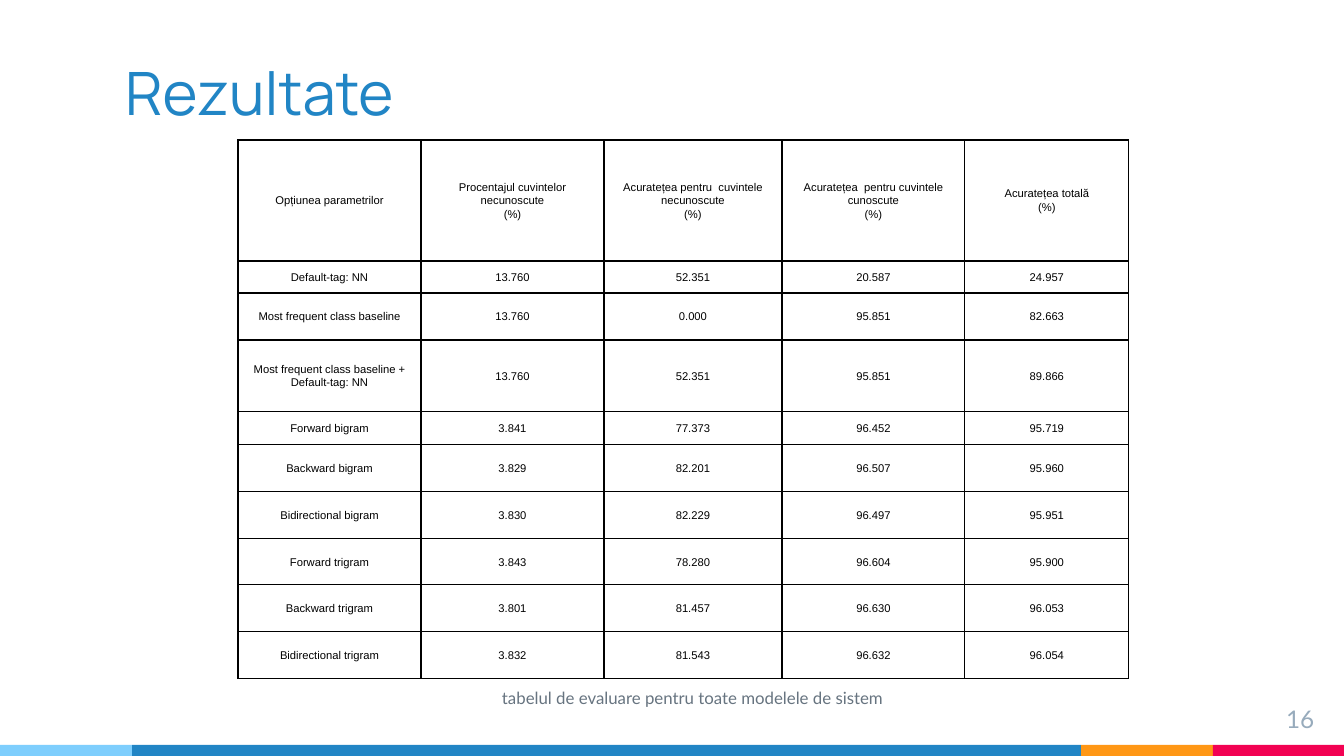
from lxml import etree
from pptx import Presentation, util as u
from pptx.dml.color import RGBColor
from pptx.enum import shapes, text
from pptx.oxml import ns

PX = 914400 / 134.4
BLUE, BLACK = "2185C5", "000000"
LEFT, MID, RIGHT = text.PP_ALIGN.LEFT, text.PP_ALIGN.CENTER, text.PP_ALIGN.RIGHT


def px(n):
    return u.Emu(round(n * PX))


def color(code):
    return RGBColor.from_string(code)


class Deck:
    def __init__(self, wide, high):
        self.prs = Presentation()
        self.prs.slide_width, self.prs.slide_height = px(wide), px(high)
        self.slide = self.prs.slides.add_slide(self.prs.slide_layouts[5])

    def style(self, frame, words, font, size, tint, align=LEFT, space=None):
        frame.text = words
        for par in frame.paragraphs:
            par.alignment = align
            par.line_spacing = space
            for run in par.runs:
                run.font.name, run.font.size = font, u.Pt(size)
                run.font.color.rgb = color(tint)

    def inset(self, item, side, top):
        item.margin_left = item.margin_right = px(side)
        item.margin_top = item.margin_bottom = px(top)

    def title(self, box, words):
        head = self.slide.shapes.title
        head.left, head.top, head.width, head.height = map(px, box)
        frame = head.text_frame
        self.style(frame, words, "Manrope", 32, BLUE)
        self.inset(frame, 13, 13)
        frame.auto_size = text.MSO_AUTO_SIZE.NONE
        frame.vertical_anchor = text.MSO_ANCHOR.BOTTOM

    def bar(self, box, fill):
        rect = self.slide.shapes.add_shape(shapes.MSO_SHAPE.RECTANGLE, *map(px, box))
        rect.shadow.inherit = False
        rect.fill.solid()
        rect.fill.fore_color.rgb = color(fill)
        rect.line.fill.background()

    def label(self, box, words, size, tint, align=LEFT, top=7):
        frame = self.slide.shapes.add_textbox(*map(px, box)).text_frame
        frame.word_wrap = True
        self.inset(frame, 13, top)
        self.style(frame, words, "Lato", size, tint, align)

    def border(self, cell):
        props = cell._tc.get_or_add_tcPr()
        for spot, side in enumerate(("lnL", "lnR", "lnT", "lnB")):
            line = etree.Element(ns.qn("a:" + side), w=str(u.Pt(0.75)))
            fill = etree.SubElement(line, ns.qn("a:solidFill"))
            etree.SubElement(fill, ns.qn("a:srgbClr"), val=BLACK)
            props.insert(spot, line)

    def table(self, left, top, cols, rows, data):
        box = map(px, (left, top, sum(cols), sum(rows)))
        grid = self.slide.shapes.add_table(len(rows), len(cols), *box).table
        grid.first_row = grid.horz_banding = False
        for col, wide in zip(grid.columns, cols):
            col.width = px(wide)
        for row, high, line in zip(grid.rows, rows, data):
            row.height = px(high)
            for cell, words in zip(row.cells, line):
                cell.fill.background()
                cell.vertical_anchor = text.MSO_ANCHOR.MIDDLE
                self.inset(cell, 5, 0)
                self.style(cell.text_frame, words, "Arial", 6, BLACK, MID, 1.07)
                self.border(cell)


deck = Deck(1344, 756)

# Footer stripe
left = 0
for wide, fill in ((132, "7ECEFD"), (949, BLUE), (132, "FF9715"), (131, "F20253")):
    deck.bar((left, 745, wide, 11), fill)
    left += wide

# Title and page number
deck.title((112, 50, 1121, 91), "Rezultate")
deck.label((1246, 691, 81, 46), "16", 13, "97ABBC", RIGHT, 13)

# Results table
data = [
    ("Opțiunea parametrilor", "Procentajul cuvintelor necunoscute\n(%)",
     "Acuratețea pentru  cuvintele necunoscute\n(%)",
     "Acuratețea  pentru cuvintele cunoscute\n(%)", "Acuratețea totală\n(%)"),
    ("Default-tag: NN", "13.760", "52.351", "20.587", "24.957"),
    ("Most frequent class baseline", "13.760", "0.000", "95.851", "82.663"),
    ("Most frequent class baseline + Default-tag: NN",
     "13.760", "52.351", "95.851", "89.866"),
    ("Forward bigram", "3.841", "77.373", "96.452", "95.719"),
    ("Backward bigram", "3.829", "82.201", "96.507", "95.960"),
    ("Bidirectional bigram", "3.830", "82.229", "96.497", "95.951"),
    ("Forward trigram", "3.843", "78.280", "96.604", "95.900"),
    ("Backward trigram", "3.801", "81.457", "96.630", "96.053"),
    ("Bidirectional trigram", "3.832", "81.543", "96.632", "96.054"),
]
cols = (183, 183, 178, 183, 164)
rows = (121, 32, 47, 72, 33, 47, 47, 46, 47, 47)
deck.table(238, 140, cols, rows, data)

# Caption
deck.label((489, 681, 672, 34),
           "tabelul de evaluare pentru toate modelele de sistem", 9, "677480")

deck.prs.save("out.pptx")
